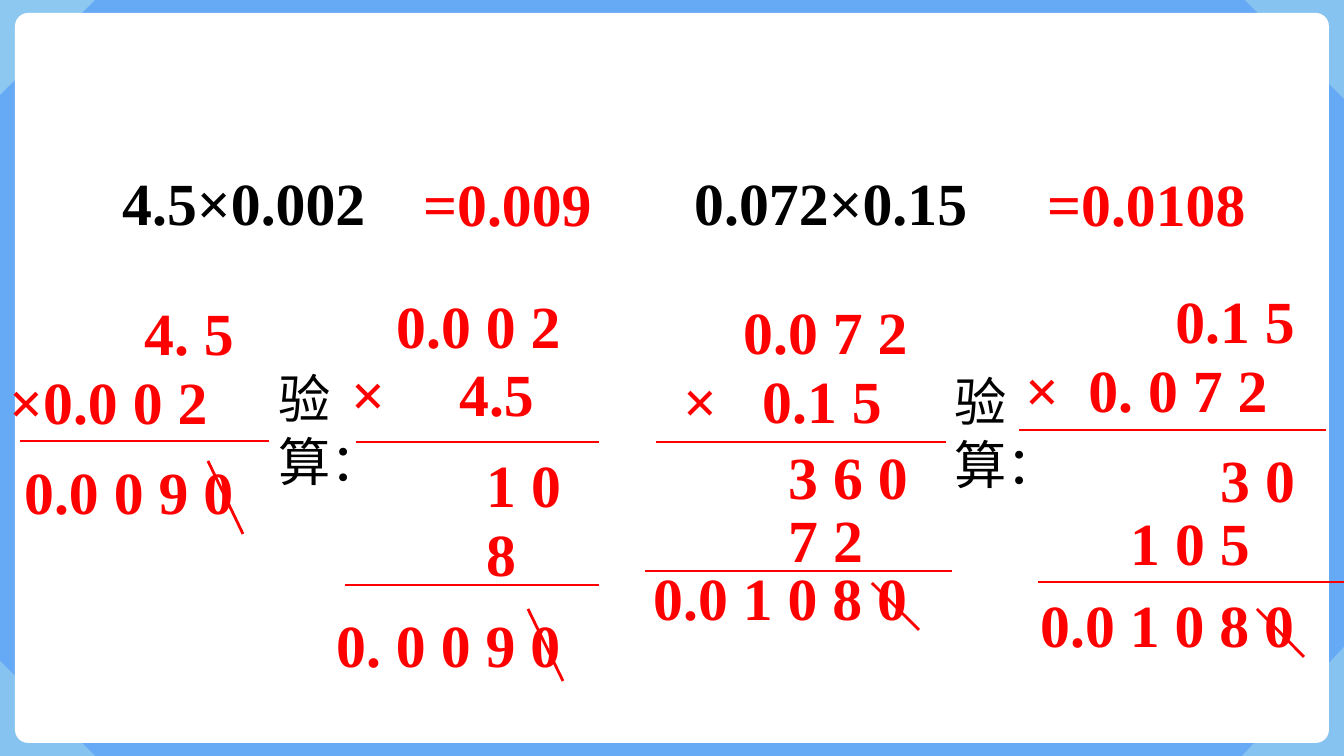
import pptx
import pptx.dml.color
import pptx.enum.shapes
import pptx.oxml.ns
import pptx.util
from lxml import etree

PX = 914400 / 134.4
W, H = 1344, 756
SPACE = 15  # one digit gap in the written sums
FONT = "Times New Roman"

RGB = pptx.dml.color.RGBColor
BLUE, SKY = RGB(0x66, 0xA9, 0xF5), RGB(0x9B, 0xD3, 0xEF)
WHITE, BLACK, RED = RGB(255, 255, 255), RGB(0, 0, 0), RGB(255, 0, 0)

# Corner triangles: points, opacity in percent
CORNERS = [
    ([(W - 99, 0), (W, 99), (W, 0)], 62),
    ([(0, H - 95), (0, H), (95, H)], 62),
    ([(95, 0), (0, 95), (0, 0)], 75),
    ([(W, H - 109), (W, H), (W - 102, H)], 62),
]
PANEL = (15, 13, 1314, 730)

QUESTIONS = ("4.5×0.002\t0.072×0.15", (109, 159, 1243, 86), 572)
ANSWERS = [("=0.009", (410, 160, 238, 77)), ("=0.0108", (1034, 160, 329, 77))]
CHECKS = [("验算：", (265, 360, 87, 140)), ("验算：", (941, 363, 87, 140))]

# Written sums: box, rows (text, gaps before it, line spacing), rules (x1, x2, y).
# In a row with a tab, the second number is where the text after the tab starts, in px.
SUMS = [
    ((-79, 289, 396, 394),
     [("4. 5", 14, 1, 0), ("×0.0 0 2", 5, 0.6, 0), ("0.0 0 9 0", 6, 1, 0)],
     [(20, 269, 441)]),
    ((233, 282, 386, 394),
     [("0.0 0 2", 10, 1, 0), ("×\t4.5", 7, 0.6, 213), ("1 0", 16, 1, 0),
      ("8", 16, 0.6, 0), ("0. 0 0 9 0", 6, 1, 0)],
     [(356, 599, 442), (345, 599, 585)]),
    ((640, 288, 798, 430),
     [("0.0 7 2", 6, 1, 0), ("×\t0.1 5", 2, 0.6, 109), ("3 6 0", 9, 0.8, 0),
      ("7 2", 9, 0.5, 0), ("0.0 1 0 8 0", 0, 0.5, 0)],
     [(656, 946, 442), (645, 952, 571)]),
    ((1012, 277, 419, 394),
     [("0.1 5", 10, 1, 0), ("×\t0. 0 7 2", 0, 0.6, 63), ("3 0", 13, 1, 0),
      ("1 0 5", 7, 0.5, 0), ("0.0 1 0 8 0", 1, 0.9, 0)],
     [(1019, 1326, 430), (1038, W, 582)]),
]

# Strokes through the dropped zeros
STROKES = [(208, 461, 243, 534), (528, 609, 563, 681),
           (872, 583, 919, 630), (1257, 609, 1304, 657)]


def px(n):
    return pptx.util.Emu(round(n * PX))


def indent(p, left, first=0):
    pPr = p._p.get_or_add_pPr()
    pPr.set("marL", str(px(left)))
    pPr.set("indent", str(px(first)))


def style(p, color, size=32, bold=True):
    for r in p.runs:
        r.font.name, r.font.size, r.font.bold = FONT, pptx.util.Pt(size), bold
        r.font.color.rgb = color


def add_text(shapes, text, box, color, size=32, bold=True):
    tf = shapes.add_textbox(*map(px, box)).text_frame
    tf.word_wrap = True
    tf.text = text
    style(tf.paragraphs[0], color, size, bold)
    return tf


def add_line(shapes, x1, y1, x2, y2):
    c = shapes.add_connector(pptx.enum.shapes.MSO_CONNECTOR.STRAIGHT,
                             px(x1), px(y1), px(x2), px(y2))
    c.line.color.rgb, c.line.width = RED, pptx.util.Pt(1.5)
    etree.SubElement(c._element.spPr, pptx.oxml.ns.qn("a:effectLst"))


def paint(sp, color):
    sp.shadow.inherit = False
    sp.fill.solid()
    sp.fill.fore_color.rgb = color
    sp.line.fill.background()


prs = pptx.Presentation()
prs.slide_width, prs.slide_height = px(W), px(H)
s = prs.slides.add_slide(prs.slide_layouts[6])

# Background, corners and white panel
s.background.fill.solid()
s.background.fill.fore_color.rgb = BLUE
for points, opacity in CORNERS:
    fb = s.shapes.build_freeform(*points[0], scale=PX)
    fb.add_line_segments(points[1:], close=True)
    sp = fb.convert_to_shape()
    paint(sp, SKY)
    clr = sp._element.spPr.find(".//" + pptx.oxml.ns.qn("a:srgbClr"))
    etree.SubElement(clr, pptx.oxml.ns.qn("a:alpha"), val=str(opacity * 1000))
panel = s.shapes.add_shape(pptx.enum.shapes.MSO_SHAPE.ROUNDED_RECTANGLE, *map(px, PANEL))
panel.adjustments[0] = 0.018
paint(panel, WHITE)

# Questions, answers and check labels
text, box, second = QUESTIONS
tf = add_text(s.shapes, text, box, BLACK)
indent(tf.paragraphs[0], second, -second)
for text, box in ANSWERS:
    tf = add_text(s.shapes, text, box, RED)
    tf.paragraphs[0].space_before = pptx.util.Pt(12)
for text, box in CHECKS:
    add_text(s.shapes, text, box, BLACK, 28, False)

# Written sums with their rules
for box, rows, rules in SUMS:
    group = s.shapes.add_group_shape().shapes
    tf = add_text(group, "", box, RED)
    for i, (text, gaps, spacing, after_tab) in enumerate(rows):
        p = tf.add_paragraph() if i else tf.paragraphs[0]
        p.text = text
        p.space_before, p.line_spacing = pptx.util.Pt(12), spacing
        start = gaps * SPACE
        left = after_tab or start
        indent(p, left, start - left)
        style(p, RED)
    for x1, x2, y in rules:
        add_line(group, x1, y, x2, y)

for stroke in STROKES:
    add_line(s.shapes, *stroke)

prs.save("out.pptx")
